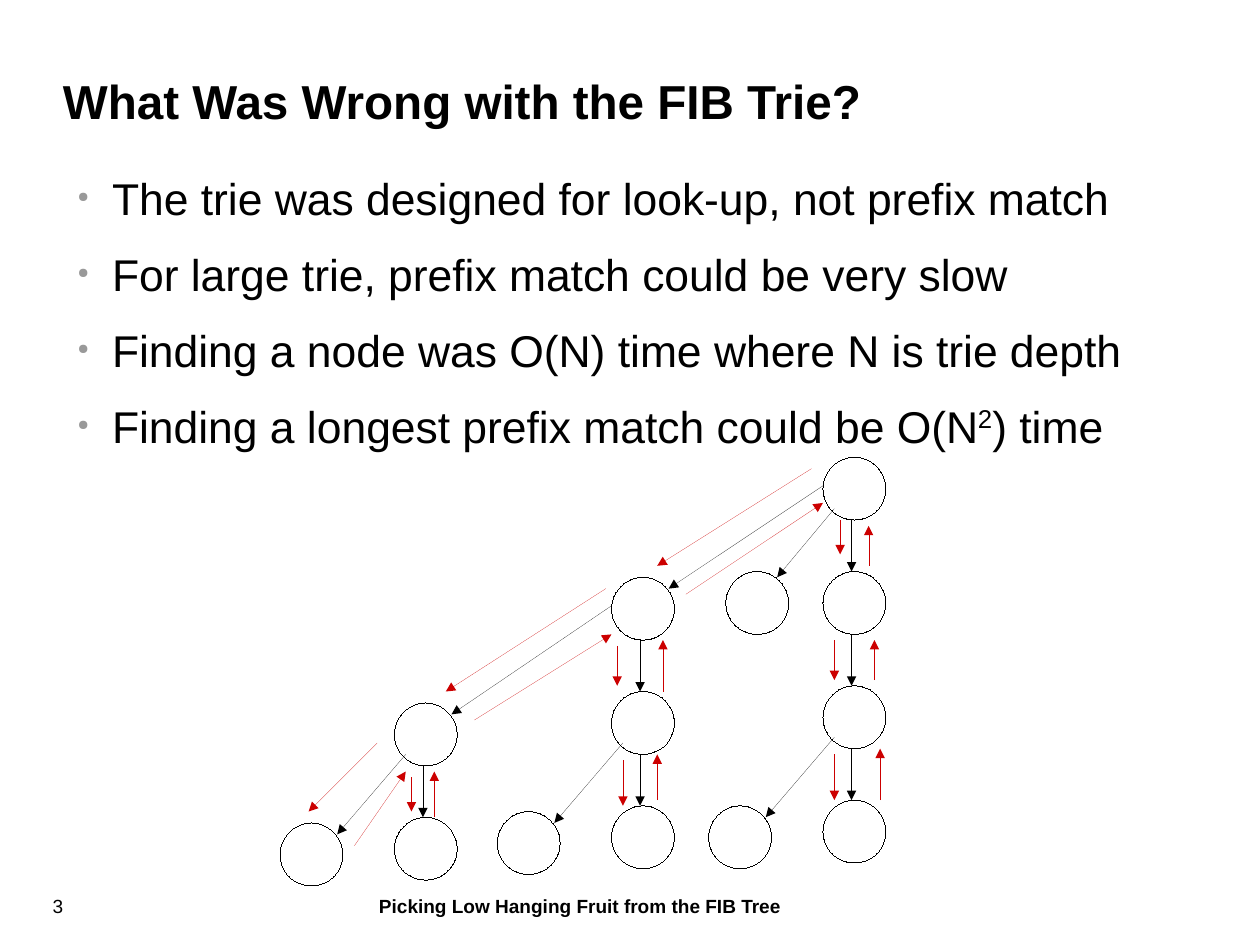
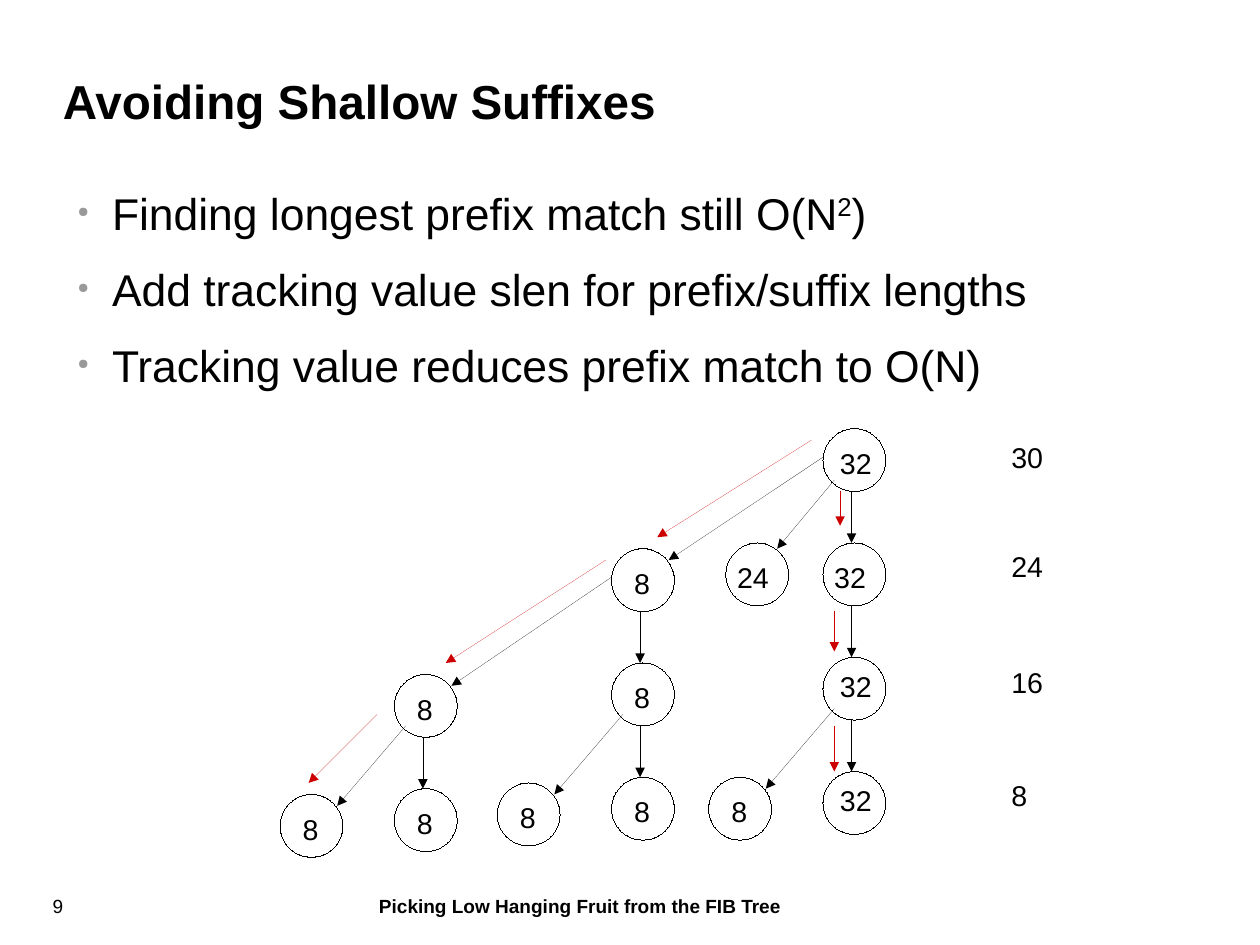
"""Builds two slides about searching and tracking in a FIB trie."""
from dataclasses import dataclass

from lxml import etree
from pptx import Presentation, util as u
from pptx.dml.color import RGBColor
from pptx.enum import shapes, text
from pptx.oxml.ns import qn


@dataclass(frozen=True)
class Theme:
    """Holds the colours and type sizes."""
    font: str = "Arial"
    ink: str = "000000"
    paper: str = "FFFFFF"
    search: str = "CC0000"
    bullet: str = "999999"
    title: float = 30
    body: float = 28
    label: float = 18
    footer: float = 12
    bullet_percent: int = 32


FOOTER = "Picking Low Hanging Fruit from the FIB Tree"
DIAMETER = 0.55
LABEL_INSETS = (0.1, 0.05)
BULLET_HEIGHT = 0.6

NODES = {
    "root": (7.2, 4), "root_mid": (6.35, 5), "right": (7.2, 5),
    "right_low": (7.2, 6), "right_leaf": (7.2, 7), "right_side": (6.2, 7.05),
    "mid": (5.35, 5.05), "mid_low": (5.35, 6.05),
    "mid_leaf": (5.35, 7.05), "mid_side": (4.35, 7.1),
    "left": (3.45, 6.15), "left_leaf": (3.45, 7.15), "left_side": (2.45, 7.2),
}
DOWN = ((0.25, DIAMETER), (0.25, 0))
SIDE = ((0.1, 0.45), (0.5, 0.1))
SHORT = ((0.1, 0.45), (0.45, 0.05))
FAR = ((0, 0.25), (0.5, 0.1))
EDGES = [
    ("root", "right", DOWN), ("root", "root_mid", SHORT), ("root", "mid", FAR),
    ("right", "right_low", DOWN), ("right_low", "right_leaf", DOWN),
    ("right_low", "right_side", SIDE), ("mid", "mid_low", DOWN),
    ("mid", "left", FAR), ("mid_low", "mid_leaf", DOWN),
    ("mid_low", "mid_side", SIDE), ("left", "left_leaf", DOWN),
    ("left", "left_side", SIDE),
]
DESCENT = [
    (7.1, 4.1, 5.75, 4.95), (5.3, 5.15, 3.9, 6.05), (3.3, 6.5, 2.7, 7.1),
    (7.35, 4.55, 7.35, 4.85), (7.3, 5.6, 7.3, 5.95), (7.3, 6.6, 7.3, 7),
]
BACKTRACK = [
    (3.1, 7.4, 3.55, 6.75), (3.6, 6.8, 3.6, 7.1), (3.8, 7.15, 3.8, 6.75),
    (4.15, 6.3, 5.35, 5.55), (5.4, 5.65, 5.4, 6), (5.45, 6.65, 5.45, 7.05),
    (5.75, 7, 5.75, 6.6), (5.8, 6.05, 5.8, 5.6), (6, 5.2, 7.2, 4.4),
    (7.7, 7, 7.7, 6.55), (7.65, 5.95, 7.65, 5.6), (7.6, 4.95, 7.6, 4.6),
]
WIDE_LABELS = {
    "root": ("32", 0.05, 0.1), "right": ("32", 0, 0.1),
    "right_low": ("32", 0.05, 0.05), "right_leaf": ("32", 0.05, 0.05),
    "root_mid": ("24", 0, 0.1),
}
LEVELS = [("30", 3.8), ("24", 4.75), ("16", 5.77), ("8", 6.76)]


def inch(value):
    """Turns inches into a length by way of centimetres."""
    return u.Cm(value * 2.54)


class Deck:
    """Draws styled elements on the current page."""

    def __init__(self, theme):
        """Starts an empty deck."""
        self.theme = theme
        self.file = Presentation()
        self.file.slide_width, self.file.slide_height = u.Cm(28), u.Cm(21)
        self.page = None

    def add_page(self, title, number):
        """Adds a page with its title, footer and number."""
        self.page = self.file.slides.add_slide(self.file.slide_layouts[6])
        theme = self.theme
        footer = self.add_text((2.65, 7.83, 4.85, 0.25), FOOTER, theme.footer, bold=True)
        footer.paragraphs[0].alignment = text.PP_ALIGN.CENTER
        self.add_text((0.46, 7.83, 1.25, 0.25), number, theme.footer)
        heading = self.add_text((0.55, 0.25, 9.92, 1.25), title, theme.title, bold=True)
        heading.vertical_anchor = text.MSO_ANCHOR.MIDDLE

    def add_box(self, area, insets=(0, 0)):
        """Adds an empty wrapping text box."""
        frame = self.page.shapes.add_textbox(*map(inch, area)).text_frame
        frame.word_wrap = True
        frame.margin_left = frame.margin_right = inch(insets[0])
        frame.margin_top = frame.margin_bottom = inch(insets[1])
        return frame

    def add_span(self, para, words, size, bold=False):
        """Adds one styled run."""
        span = para.add_run()
        span.text = words
        span.font.name, span.font.size = self.theme.font, u.Pt(size)
        span.font.bold = bold
        span.font.color.rgb = RGBColor.from_string(self.theme.ink)
        return span

    def add_text(self, area, words, size, bold=False, insets=(0, 0)):
        """Adds a text box with one line."""
        frame = self.add_box(area, insets)
        self.add_span(frame.paragraphs[0], words, size, bold)
        return frame

    def add_bullets(self, top, items):
        """Adds bullets whose every second part is raised."""
        frame = self.add_box((0.58, top, 9.92, BULLET_HEIGHT * len(items)))
        for index, parts in enumerate(items):
            para = frame.add_paragraph() if index else frame.paragraphs[0]
            style = para._p.get_or_add_pPr()
            style.set("marL", str(inch(0.4)))
            style.set("indent", str(-inch(0.3)))
            para.space_after = u.Pt(14.2)
            colour = etree.SubElement(style, qn("a:buClr"))
            etree.SubElement(colour, qn("a:srgbClr"), val=self.theme.bullet)
            etree.SubElement(style, qn("a:buSzPct"),
                             val=str(self.theme.bullet_percent * 1000))
            etree.SubElement(style, qn("a:buChar"), char="●")
            for place, words in enumerate(parts):
                span = self.add_span(para, words, self.theme.body)
                if place % 2:
                    span._r.get_or_add_rPr().set("baseline", "33000")

    def set_hairline(self, shape, colour):
        """Gives a shape the thinnest line and returns its element."""
        shape.line.color.rgb = RGBColor.from_string(colour)
        line = shape.get_or_add_ln()
        line.set("w", "0")
        return line

    def add_node(self, left, top):
        """Adds one trie node."""
        area = map(inch, (left, top, DIAMETER, DIAMETER))
        node = self.page.shapes.add_shape(shapes.MSO_SHAPE.OVAL, *area)
        node.shadow.inherit = False
        node.fill.solid()
        node.fill.fore_color.rgb = RGBColor.from_string(self.theme.paper)
        self.set_hairline(node, self.theme.ink)

    def add_arrow(self, ends, colour):
        """Adds a straight arrow."""
        arrow = self.page.shapes.add_connector(
            shapes.MSO_CONNECTOR.STRAIGHT, *map(inch, ends))
        line = self.set_hairline(arrow, colour)
        etree.SubElement(line, qn("a:tailEnd"), type="triangle")
        etree.SubElement(arrow._element.spPr, qn("a:effectLst"))

    def add_label(self, words, left, top):
        """Adds a short value beside or inside a node."""
        area = (left, top, 0.5, 0.45)
        self.add_text(area, words, self.theme.label, insets=LABEL_INSETS)

    def add_trie(self, searches, rise=0):
        """Adds the trie and its search arrows, moved up by rise."""
        for left, top in NODES.values():
            self.add_node(left, top - rise)
        for parent, child, (start, end) in EDGES:
            (x1, y1), (x2, y2) = NODES[parent], NODES[child]
            self.add_arrow((x1 + start[0], y1 + start[1] - rise,
                            x2 + end[0], y2 + end[1] - rise), self.theme.ink)
        for x1, y1, x2, y2 in searches:
            self.add_arrow((x1, y1 - rise, x2, y2 - rise), self.theme.search)


def main():
    """Builds and saves both slides."""
    deck = Deck(Theme())

    deck.add_page("What Was Wrong with the FIB Trie?", "3")
    deck.add_bullets(1.5, [
        ("The trie was designed for look-up, not prefix match",),
        ("For large trie, prefix match could be very slow",),
        ("Finding a node was O(N) time where N is trie depth",),
        ("Finding a longest prefix match could be O(N", "2", ") time"),
    ])
    deck.add_trie(DESCENT + BACKTRACK)

    deck.add_page("Avoiding Shallow Suffixes", "9")
    deck.add_bullets(1.63, [
        ("Finding longest prefix match still O(N", "2", ")"),
        ("Add tracking value slen for prefix/suffix lengths",),
        ("Tracking value reduces prefix match to O(N)",),
    ])
    rise = 0.25
    deck.add_trie(DESCENT, rise)
    for name, (left, top) in NODES.items():
        words, right, down = WIDE_LABELS.get(name, ("8", 0.1, 0.1))
        deck.add_label(words, left + right, top + down - rise)
    for words, top in LEVELS:
        deck.add_label(words, 8.75, top)

    deck.file.save("out.pptx")


if __name__ == "__main__":
    main()
